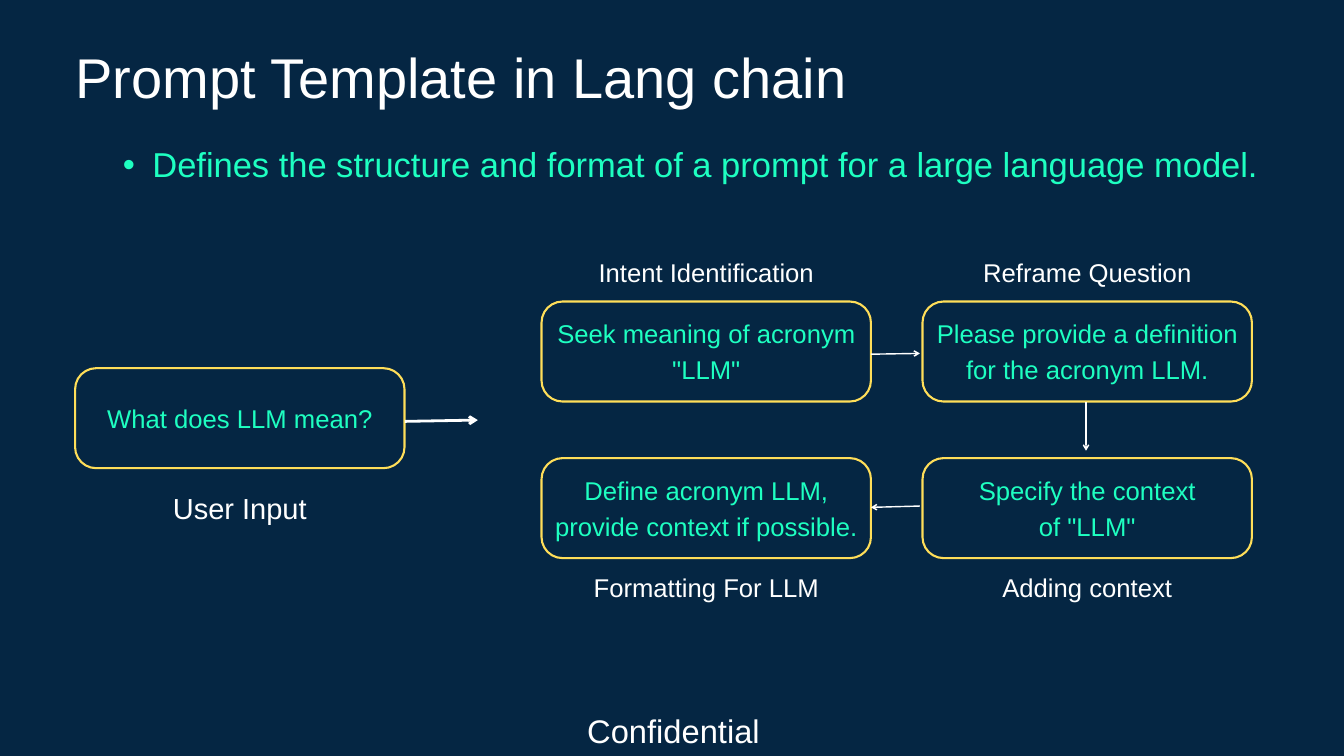
from lxml.etree import SubElement
from pptx import Presentation
from pptx.dml.color import RGBColor
from pptx.enum.shapes import MSO_CONNECTOR as Connector, MSO_SHAPE as Shape
from pptx.enum.text import MSO_ANCHOR as Anchor, MSO_AUTO_SIZE as AutoSize, PP_ALIGN as Align
from pptx.oxml.ns import qn
from pptx.util import Cm, Pt

TITLE = "Prompt Template in Lang chain"
SUMMARY = "Defines the structure and format of a prompt for a large language model."
FOOTER = "Confidential"

COLORS = {"navy": "052643", "mint": "1EFFC1", "yellow": "FFDE59", "white": "FFFFFF"}
FONT = "Arial"
LEADING = 1.4

INPUT_LEFT, LEFT, RIGHT = 2.84, 20.47, 34.87
INPUT_TOP, UPPER, LOWER = 13.92, 11.4, 17.32
BOX_WIDTH, BOX_HEIGHT = 12.45, 3.78
CORNER = 0.21
LABEL_HEIGHT = 1.37

# fields: text, left, top, label, label offset from the box top, label size
STEPS = [
    ("What does LLM mean?", INPUT_LEFT, INPUT_TOP, "User Input", 4.39, 31.1),
    ('Seek meaning of acronym "LLM"', LEFT, UPPER, "Intent Identification", -1.88, 27.5),
    ("Please provide a definition for the acronym LLM.", RIGHT, UPPER, "Reframe Question", -1.88, 27.5),
    ('Specify the context\nof "LLM"', RIGHT, LOWER, "Adding context", 4.12, 27.5),
    ("Define acronym LLM, provide context if possible.", LEFT, LOWER, "Formatting For LLM", 4.12, 27.5),
]

# fields: start x, start y, end x, end y, line width
ARROWS = [
    (15.3, 15.93, 18.06, 15.88, 3),
    (32.92, 13.39, 34.77, 13.36, 1.5),
    (41.05, 15.19, 41.05, 17.04, 1.5),
    (34.77, 19.13, 32.92, 19.18, 1.5),
]


def color(name):
    """Return a palette colour."""
    return RGBColor.from_string(COLORS[name])


def write(shape, text, size, ink, anchor=Anchor.TOP, bottom=0):
    """Fill a shape with centred text at a fixed leading."""
    frame = shape.text_frame
    frame.text = text
    frame.word_wrap = True
    frame.auto_size = AutoSize.NONE
    frame.vertical_anchor = anchor
    frame.margin_left = frame.margin_right = frame.margin_top = 0
    frame.margin_bottom = Cm(bottom)
    for para in frame.paragraphs:
        para.alignment = Align.CENTER
        para.line_spacing = Pt(round(size * LEADING, 1))
        para.space_before = Pt(0)
        for span in para.runs:
            span.font.name = FONT
            span.font.size = Pt(size)
            span.font.color.rgb = color(ink)


def place(shape, left, top, width, height):
    """Move and size a shape in centimetres."""
    shape.left, shape.top = Cm(left), Cm(top)
    shape.width, shape.height = Cm(width), Cm(height)


def add_label(page, text, left, top, width, height, size):
    """Add a white text box."""
    box = page.shapes.add_textbox(Cm(left), Cm(top), Cm(width), Cm(height))
    write(box, text, size, "white")


def add_step(page, text, left, top, label, offset, label_size):
    """Add an outlined step with its label."""
    box = page.shapes.add_shape(
        Shape.ROUNDED_RECTANGLE, Cm(left), Cm(top), Cm(BOX_WIDTH), Cm(BOX_HEIGHT))
    box.adjustments[0] = CORNER
    box.shadow.inherit = False
    box.fill.background()
    box.line.color.rgb = color("yellow")
    box.line.width = Pt(2.25)
    write(box, text, 27.5, "mint", Anchor.MIDDLE, 0.2)
    add_label(page, label, left, top + offset, BOX_WIDTH, LABEL_HEIGHT, label_size)


def add_arrow(page, start_x, start_y, end_x, end_y, width):
    """Add a white line with an open arrowhead."""
    arrow = page.shapes.add_connector(
        Connector.STRAIGHT, Cm(start_x), Cm(start_y), Cm(end_x), Cm(end_y))
    arrow.line.color.rgb = color("white")
    arrow.line.width = Pt(width)
    SubElement(arrow.line._get_or_add_ln(), qn("a:tailEnd"), type="arrow", w="med", len="med")
    SubElement(arrow._element.spPr, qn("a:effectLst"))


def add_bullet(para):
    """Give a paragraph a hanging round bullet."""
    para.level = 1
    properties = para._p.get_or_add_pPr()
    properties.set("marL", str(Cm(2.21)))
    properties.set("indent", str(Cm(-1.12)))
    SubElement(properties, qn("a:buChar"), char="•")


def main():
    """Build the prompt template slide."""
    deck = Presentation()
    deck.slide_width, deck.slide_height = Cm(50.8), Cm(28.58)
    page = deck.slides.add_slide(deck.slide_layouts[1])
    page.background.fill.solid()
    page.background.fill.fore_color.rgb = color("navy")

    title, body = page.placeholders
    place(title, 1.37, 1.19, 32.11, 2.95)
    write(title, TITLE, 60, "white")
    place(body, 3.2, 5.16, 44.73, 1.83)
    write(body, SUMMARY, 37, "mint")
    add_bullet(body.text_frame.paragraphs[0])

    for step in STEPS:
        add_step(page, *step)
    for arrow in ARROWS:
        add_arrow(page, *arrow)
    add_label(page, FOOTER, 20.09, 26.64, 10.74, 1.73, 35)
    deck.save("out.pptx")


if __name__ == "__main__":
    main()
